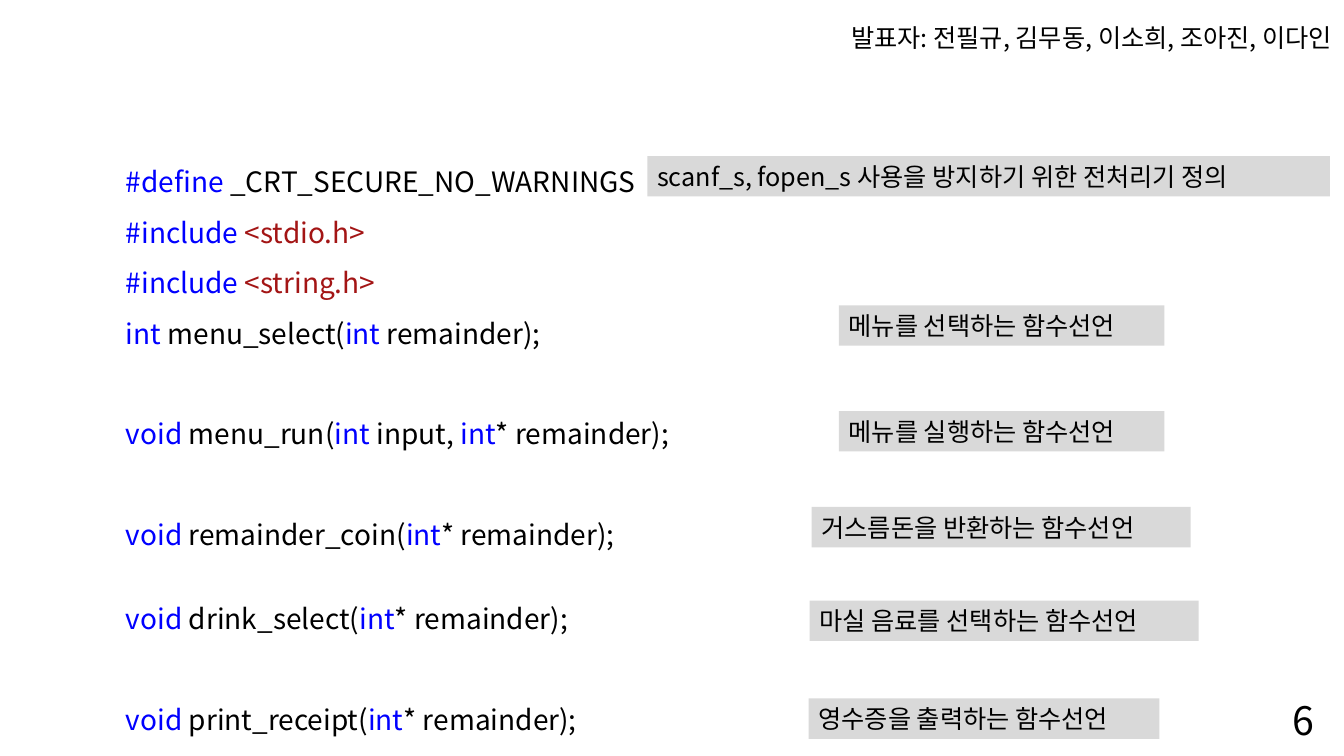
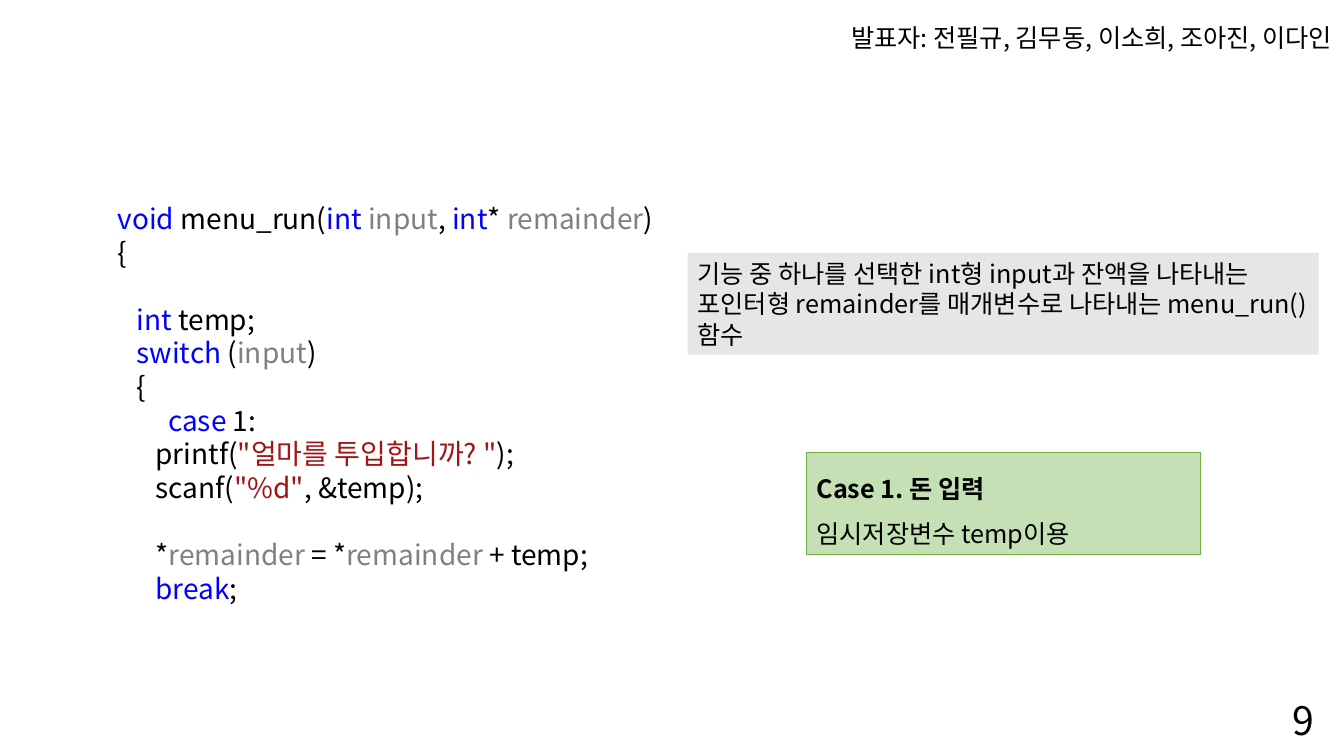
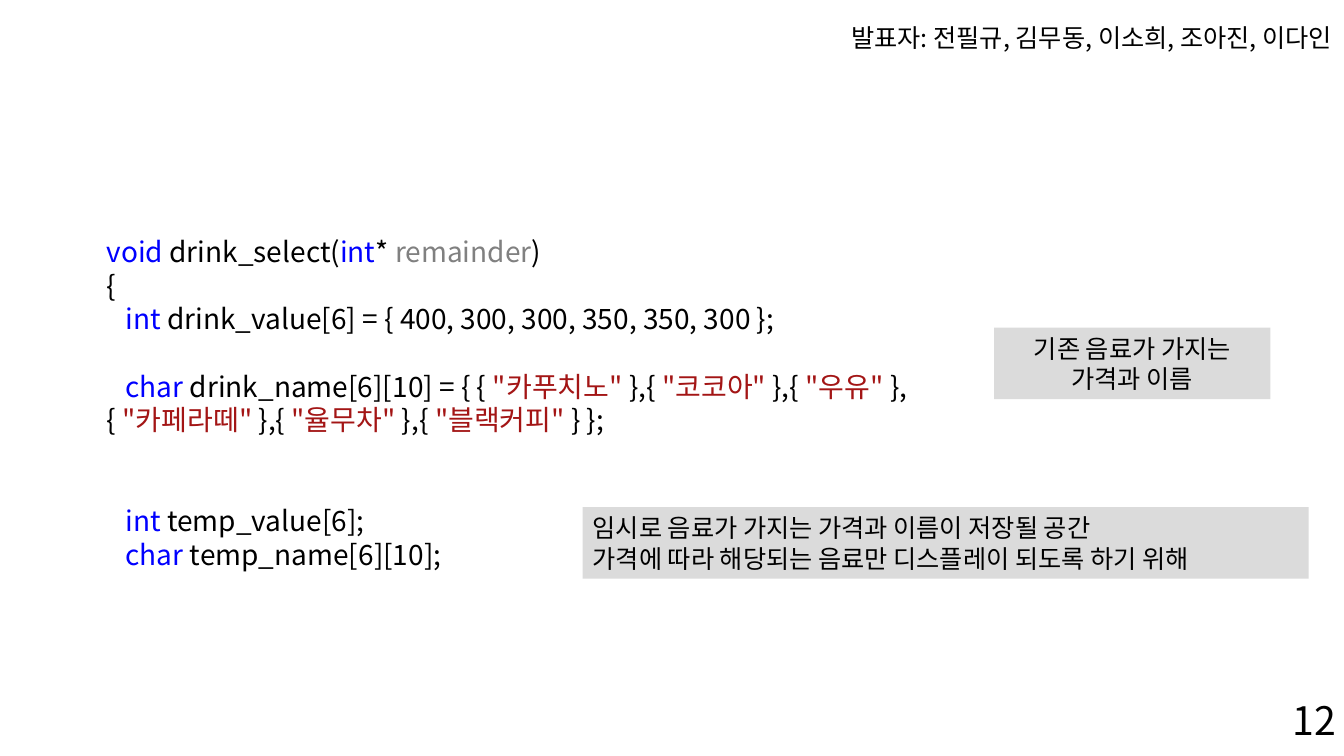
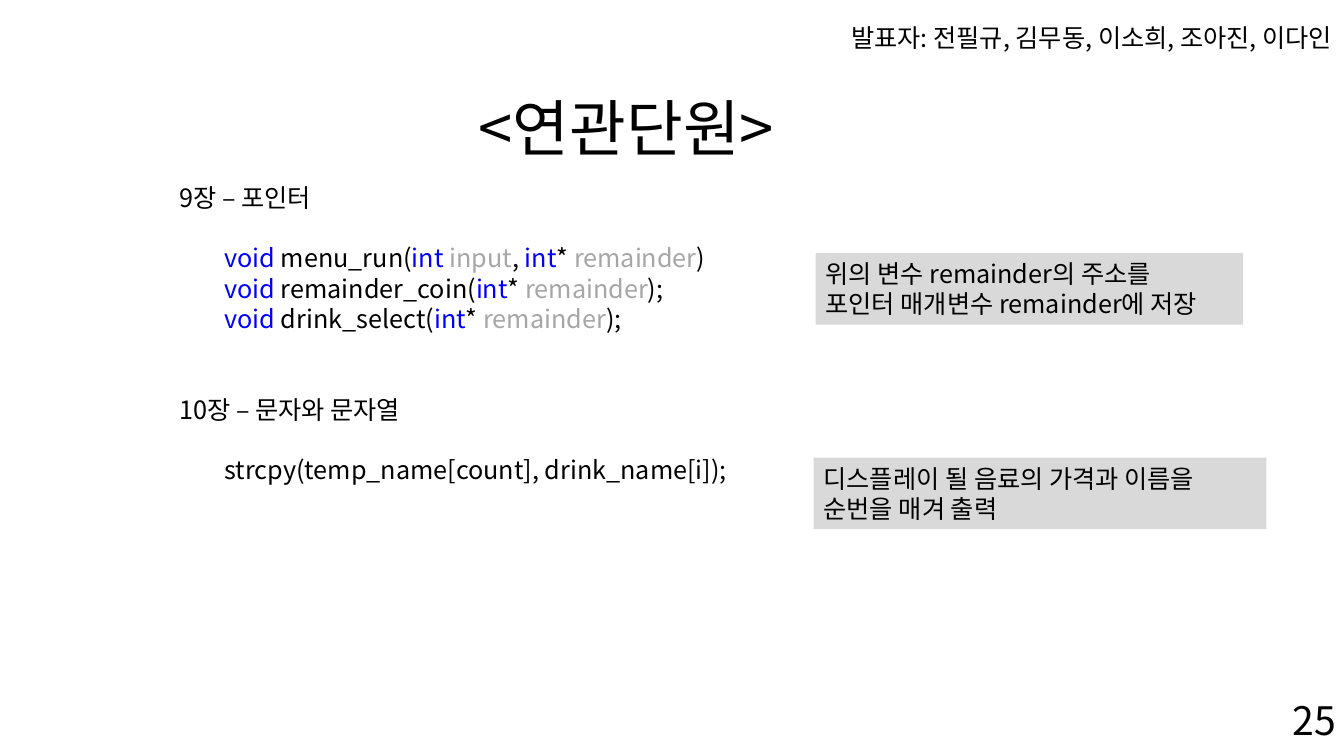
"""Builds four slides that explain the C code of a vending machine."""
from itertools import groupby

from lxml import etree
from pptx import Presentation
from pptx.dml.color import RGBColor
from pptx.enum import shapes, text
from pptx.oxml.ns import qn
from pptx.util import Inches, Pt

FACE = "Noto Sans CJK KR"
BLACK, BLUE, RED = "000000", "0000FF", "A31515"
GRAY, PALE = "808080", "A6A6A6"
PANEL, MIST, SILVER = "D9D9D9", "E7E6E6", "DBDBDB"
MINT, GREEN = "C5E0B4", "70AD47"
KEYS = {"#define", "#include", "void", "int", "char", "switch", "case", "break"}
ARGS = {"input", "remainder"}
LEFT, MID, RIGHT = text.PP_ALIGN.LEFT, text.PP_ALIGN.CENTER, text.PP_ALIGN.RIGHT


def tint(code):
    """Return the colour for a hex string."""
    return RGBColor.from_string(code)


def style(para, size, align=LEFT, space=1.0, bold=False):
    """Set the font and layout of a paragraph."""
    para.alignment = align
    if space != 1:
        para.line_spacing = space
    font = para.font
    font.size, font.name, font.bold = Pt(size), FACE, bold
    font.color.rgb = tint(BLACK)
    etree.SubElement(font._element, qn("a:ea"), typeface=FACE)


def lines(frame, count):
    """Return the given number of paragraphs of an empty frame."""
    return [frame.paragraphs[0]] + [frame.add_paragraph() for _ in range(count - 1)]


def label(slide, words, at, size, align=LEFT, space=1.0, wrap=True):
    """Add one plain line of text."""
    box = slide.shapes.add_textbox(*map(Inches, at))
    frame = box.text_frame
    frame.word_wrap = wrap
    frame.vertical_anchor = text.MSO_ANCHOR.TOP
    para = frame.paragraphs[0]
    para.text = words
    style(para, size, align, space)
    return frame


def note(slide, rows, at, fill=PANEL, align=LEFT, edge=None, space=1.0, head=False):
    """Add a filled box that comments on the code."""
    box = slide.shapes.add_shape(shapes.MSO_SHAPE.RECTANGLE, *map(Inches, at))
    box.shadow.inherit = False
    box.fill.solid()
    box.fill.fore_color.rgb = tint(fill)
    if edge:
        box.line.color.rgb = tint(edge)
        box.line.width = Pt(0.5)
    else:
        box.line.fill.background()
    frame = box.text_frame
    frame.word_wrap = True
    for i, (para, row) in enumerate(zip(lines(frame, len(rows)), rows)):
        para.text = row
        style(para, 18, align, space, head and i == 0)


def tokens(line, dim):
    """Yield the words and marks of a code line with their colours."""
    if line.startswith("#include"):
        first, _, rest = line.partition(" ")
        yield first + " ", BLUE
        yield rest, RED
        return
    for i, part in enumerate(line.split('"')):
        if i % 2:
            yield f'"{part}"', RED
            continue
        for _, chars in groupby(part, lambda c: c.isalnum() or c in "_#"):
            word = "".join(chars)
            yield word, BLUE if word in KEYS else dim if word in ARGS else BLACK


def code(slide, rows, at, size=20, dim=BLACK):
    """Add code from rows of (line, blank lines above, line spacing)."""
    box = slide.shapes.add_textbox(*map(Inches, at))
    frame = box.text_frame
    frame.word_wrap = True
    for para, (line, gap, space) in zip(lines(frame, len(rows)), rows):
        style(para, size, space=space)
        if gap:
            para.space_before = Pt(round(gap * size * 1.2, 1))
        for hue, group in groupby(tokens(line, dim), lambda t: t[1]):
            run = para.add_run()
            run.text = "".join(word for word, _ in group)
            if hue != BLACK:
                run.font.color.rgb = tint(hue)


def page(deck, number):
    """Add a slide with the presenters and its number."""
    slide = deck.slides.add_slide(deck.slide_layouts[6])
    label(slide, "발표자: 전필규, 김무동, 이소희, 조아진, 이다인",
          (7.84, 0.17, 5.47, 0.4), 18, RIGHT)
    wide = 0.21 * (len(str(number)) + 1)
    frame = label(slide, str(number), (12.72, 6.86, wide, 0.57), 28, wrap=False)
    frame.auto_size = text.MSO_AUTO_SIZE.SHAPE_TO_FIT_TEXT
    return slide


def heads(deck):
    """Show the declarations."""
    slide = page(deck, 6)
    code(slide, [
        ("#define _CRT_SECURE_NO_WARNINGS", 0, 1.5),
        ("#include <stdio.h>", 0, 1.5),
        ("#include <string.h>", 0, 1.5),
        ("int menu_select(int remainder);", 0, 1.5),
        ("void menu_run(int input, int* remainder);", 1.5, 1.5),
        ("void remainder_coin(int* remainder);", 1.5, 1.5),
        ("void drink_select(int* remainder);", 1.5, 1),
        ("void print_receipt(int* remainder);", 2, 1),
    ], (1.15, 1.42, 6.11, 5.99))
    for words, x, y, wide in [
        ("scanf_s, fopen_s 사용을 방지하기 위한 전처리기 정의", 6.42, 1.55, 6.77),
        ("메뉴를 선택하는 함수선언", 8.32, 3.03, 3.23),
        ("메뉴를 실행하는 함수선언", 8.32, 4.08, 3.23),
        ("거스름돈을 반환하는 함수선언", 8.05, 5.03, 3.76),
        ("마실 음료를 선택하는 함수선언", 8.03, 5.96, 3.86),
        ("영수증을 출력하는 함수선언", 8.02, 6.93, 3.48),
    ]:
        note(slide, [words], (x, y, wide, 0.4))


def menu(deck):
    """Show the menu function."""
    slide = page(deck, 9)
    code(slide, [
        ("void menu_run(int input, int* remainder)", 0, 1),
        ("{", 0, 1),
        ("   int temp;", 1, 1),
        ("   switch (input)", 0, 1),
        ("   {", 0, 1),
        ("\tcase 1:", 0, 1),
        ('      printf("얼마를 투입합니까? ");', 0, 1),
        ('      scanf("%d", &temp);', 0, 1),
        ("      *remainder = *remainder + temp;", 1, 1),
        ("      break;", 0, 1),
    ], (1.07, 1.95, 11, 4.14), dim=GRAY)
    note(slide, ["기능 중 하나를 선택한 int형 input과 잔액을 나타내는 포인터형 "
                 "remainder를 매개변수로 나타내는 menu_run()함수"],
         (6.82, 2.51, 6.26, 1.01), MIST)
    note(slide, ["Case 1. 돈 입력", "임시저장변수 temp이용"],
         (8, 4.49, 3.91, 1.01), MINT, edge=GREEN, space=1.5, head=True)


def drinks(deck):
    """Show the drink function."""
    slide = page(deck, 12)
    code(slide, [
        ("void drink_select(int* remainder)", 0, 1),
        ("{", 0, 1),
        ("   int drink_value[6] = { 400, 300, 300, 350, 350, 300 };", 0, 1),
        ('   char drink_name[6][10] = { { "카푸치노" },{ "코코아" },{ "우유" },'
         '{ "카페라떼" },{ "율무차" },{ "블랙커피" } };', 1, 1),
        ("   int temp_value[6];", 2, 1),
        ("   char temp_name[6][10];", 0, 1),
    ], (0.96, 2.28, 8.42, 3.47), dim=GRAY)
    note(slide, ["기존 음료가 가지는", "가격과 이름"],
         (9.86, 3.25, 2.74, 0.71), SILVER, MID)
    note(slide, ["임시로 음료가 가지는 가격과 이름이 저장될 공간",
                 "가격에 따라 해당되는 음료만 디스플레이 되도록 하기 위해"],
         (5.78, 5.03, 7.2, 0.71), SILVER)


def units(deck):
    """Show the related chapters."""
    slide = page(deck, 25)
    title = label(slide, "<연관단원>", (4.65, 0.58, 3.62, 1.45), 44, space=0.9)
    title.vertical_anchor = text.MSO_ANCHOR.MIDDLE
    code(slide, [
        ("9장 – 포인터", 0, 1),
        ("        void menu_run(int input, int* remainder)", 1, 1),
        ("        void remainder_coin(int* remainder);", 0, 1),
        ("        void drink_select(int* remainder);", 0, 1),
        ("10장 – 문자와 문자열", 2, 1),
        ("        strcpy(temp_name[count], drink_name[i]);", 1, 1),
    ], (1.68, 1.76, 9.37, 3.13), 18, PALE)
    note(slide, ["위의 변수 remainder의 주소를", "포인터 매개변수 remainder에 저장"],
         (8.09, 2.51, 4.24, 0.71))
    note(slide, ["디스플레이 될 음료의 가격과 이름을", "순번을 매겨 출력"],
         (8.07, 4.54, 4.49, 0.71))


def main():
    """Build and save the slides."""
    deck = Presentation()
    deck.slide_width, deck.slide_height = Inches(13.33), Inches(7.5)
    for build in (heads, menu, drinks, units):
        build(deck)
    deck.save("out.pptx")


if __name__ == "__main__":
    main()
